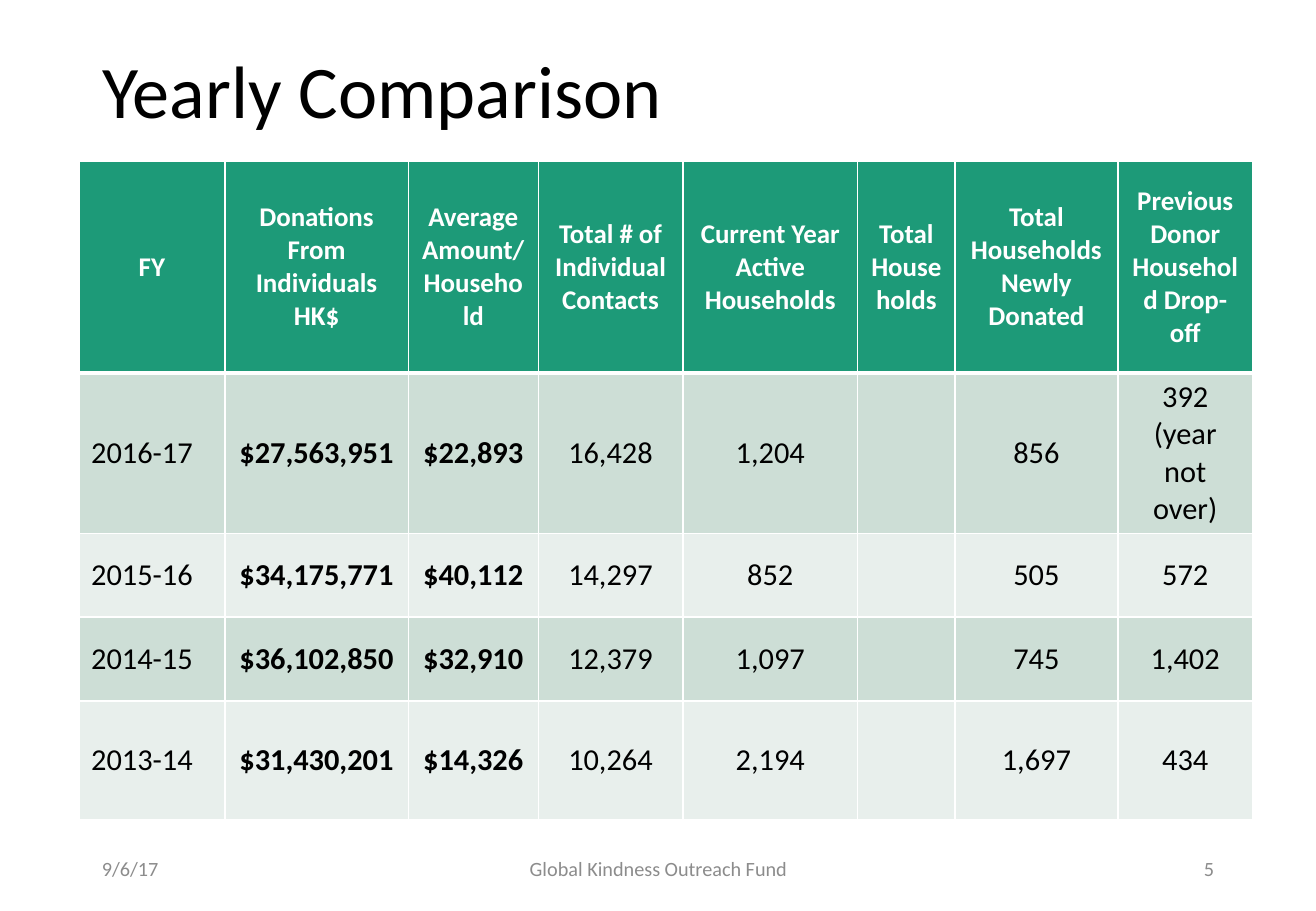
from lxml.etree import SubElement
from pptx import Presentation
from pptx.dml.color import RGBColor
from pptx.enum.text import MSO_ANCHOR as Anchor, PP_ALIGN as Align
from pptx.oxml.ns import qn
from pptx.util import Inches, Pt

COLORS = {
    "text": "000000",
    "white": "FFFFFF",
    "header": "1D9A78",
    "dark_band": "CDDED6",
    "light_band": "E8EFEC",
    "footer": "8C8C8C",
}
COLUMN_WIDTHS = [1.2, 1.51, 1.07, 1.19, 1.44, 0.8, 1.34, 1.11]
ROW_HEIGHTS = [1.74, 1.26, 0.69, 0.69, 0.98]
BOLD_COLUMNS = (1, 2)
ROWS = [
    ["FY", "Donations\nFrom Individuals\nHK$", "Average Amount/ Household",
     "Total # of\nIndividual Contacts", "Current Year Active Households",
     "Total Households", "Total Households Newly Donated",
     "Previous Donor Household Drop-off"],
    ["2016-17", "$27,563,951", "$22,893", "16,428", "1,204", "", "856",
     "392 (year not over)"],
    ["2015-16", "$34,175,771", "$40,112", "14,297", "852", "", "505", "572"],
    ["2014-15", "$36,102,850", "$32,910", "12,379", "1,097", "", "745", "1,402"],
    ["2013-14", "$31,430,201", "$14,326", "10,264", "2,194", "", "1,697", "434"],
]
FOOTERS = [
    (0.74, 2.44, "9/6/17", Align.LEFT),
    (3.59, 3.66, "Global Kindness Outreach Fund", Align.CENTER),
    (7.65, 2.44, "5", Align.RIGHT),
]


def write_text(frame, text, size, color="text", bold=False, align=Align.LEFT,
               line_spacing=None):
    """Fill a text frame, one paragraph for each line of text."""
    frame.word_wrap = True
    for index, line in enumerate(text.split("\n")):
        para = frame.add_paragraph() if index else frame.paragraphs[0]
        para.alignment = align
        para.line_spacing = line_spacing
        span = para.add_run()
        span.text = line
        span.font.name = "Calibri"
        span.font.size = Pt(size)
        span.font.bold = bold
        span.font.color.rgb = RGBColor.from_string(COLORS[color])


def set_borders(cell, top, bottom):
    """Draw white cell borders; top and bottom are widths in points."""
    properties = cell._tc.get_or_add_tcPr()
    for side, width in (("L", 1), ("R", 1), ("T", top), ("B", bottom)):
        line = SubElement(properties, qn(f"a:ln{side}"), w=str(Pt(width)))
        fill = SubElement(line, qn("a:solidFill"))
        SubElement(fill, qn("a:srgbClr"), val=COLORS["white"])


def add_title(page, text):
    title = page.shapes.title
    title.left, title.top = Inches(0.74), Inches(0.05)
    title.width, title.height = Inches(9.34), Inches(1.45)
    title.text_frame.vertical_anchor = Anchor.MIDDLE
    write_text(title.text_frame, text, 44, line_spacing=0.9)


def fill_cell(cell, text, row, column):
    header = row == 0
    set_borders(cell, top=3 if row == 1 else 1, bottom=3 if header else 1)
    band = "header" if header else "dark_band" if row % 2 else "light_band"
    cell.fill.solid()
    cell.fill.fore_color.rgb = RGBColor.from_string(COLORS[band])
    cell.vertical_anchor = Anchor.MIDDLE
    if text:
        write_text(cell.text_frame, text, 16 if header else 18,
                   color="white" if header else "text",
                   bold=header or column in BOLD_COLUMNS,
                   align=Align.CENTER if header or column else Align.LEFT)


def add_donation_table(page):
    table = page.shapes.add_table(
        len(ROWS), len(COLUMN_WIDTHS), Inches(0.65), Inches(1.33),
        Inches(sum(COLUMN_WIDTHS)), Inches(sum(ROW_HEIGHTS))).table
    for column, width in zip(table.columns, COLUMN_WIDTHS):
        column.width = Inches(width)
    for row, height in zip(table.rows, ROW_HEIGHTS):
        row.height = Inches(height)
    for row, texts in enumerate(ROWS):
        for column, text in enumerate(texts):
            fill_cell(table.cell(row, column), text, row, column)


def add_footer(page, left, width, text, align):
    box = page.shapes.add_textbox(Inches(left), Inches(6.95),
                                  Inches(width), Inches(0.4))
    box.text_frame.vertical_anchor = Anchor.MIDDLE
    write_text(box.text_frame, text, 12, color="footer", align=align)


def main():
    deck = Presentation()
    deck.slide_width, deck.slide_height = Inches(10.83), Inches(7.5)
    page = deck.slides.add_slide(deck.slide_layouts[5])
    add_title(page, "Yearly Comparison")
    add_donation_table(page)
    for footer in FOOTERS:
        add_footer(page, *footer)
    deck.save("out.pptx")


if __name__ == "__main__":
    main()
